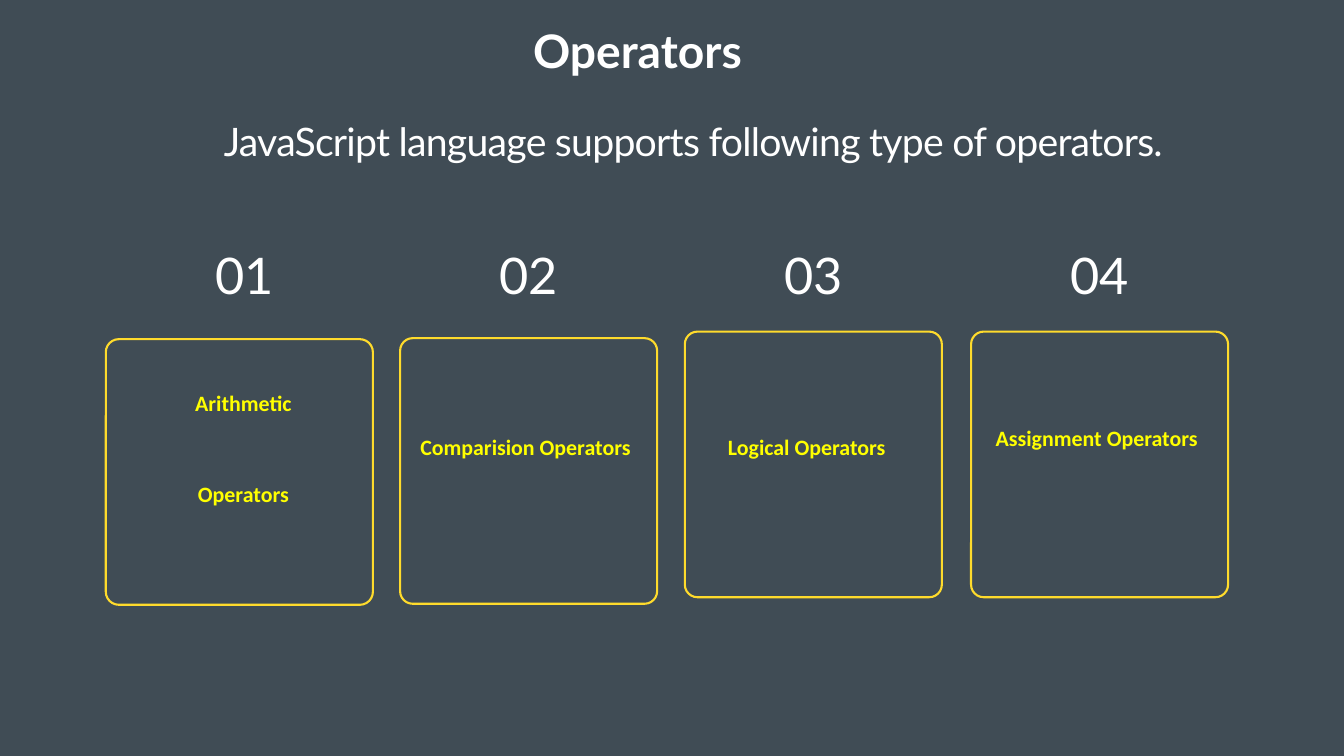
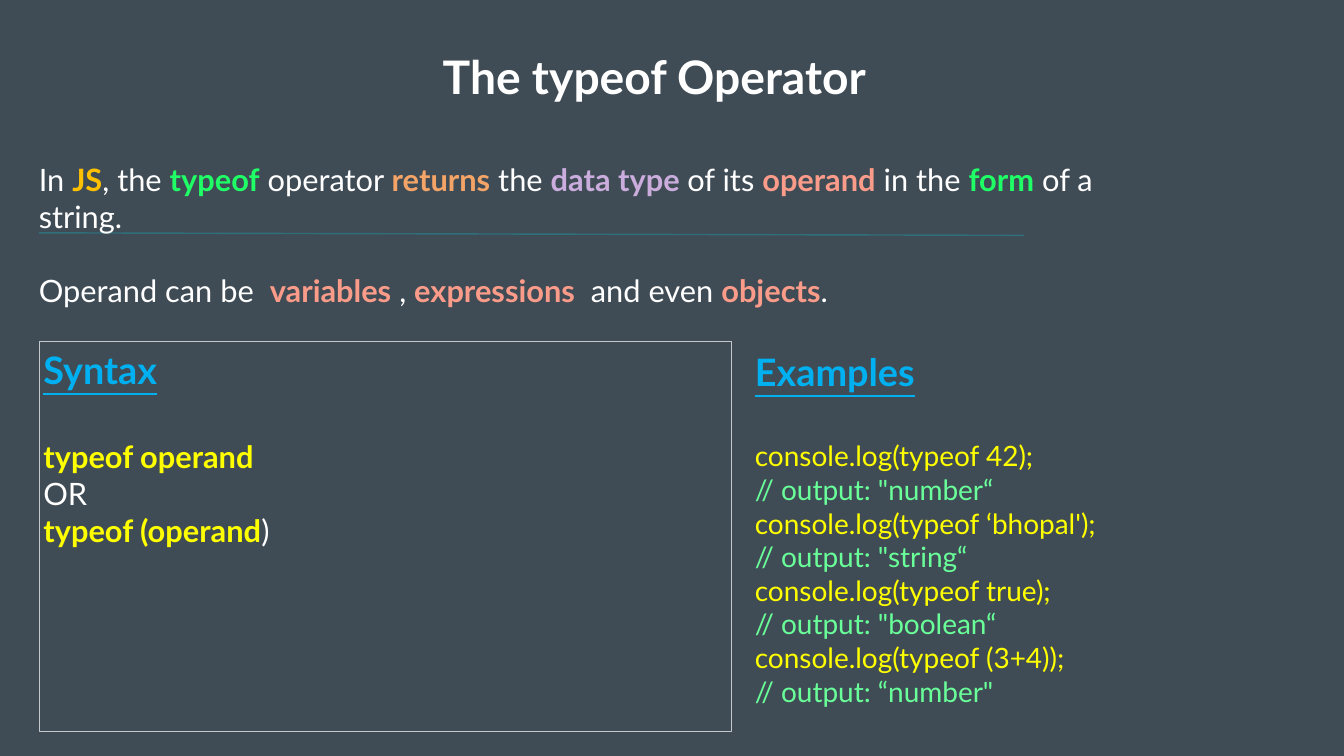
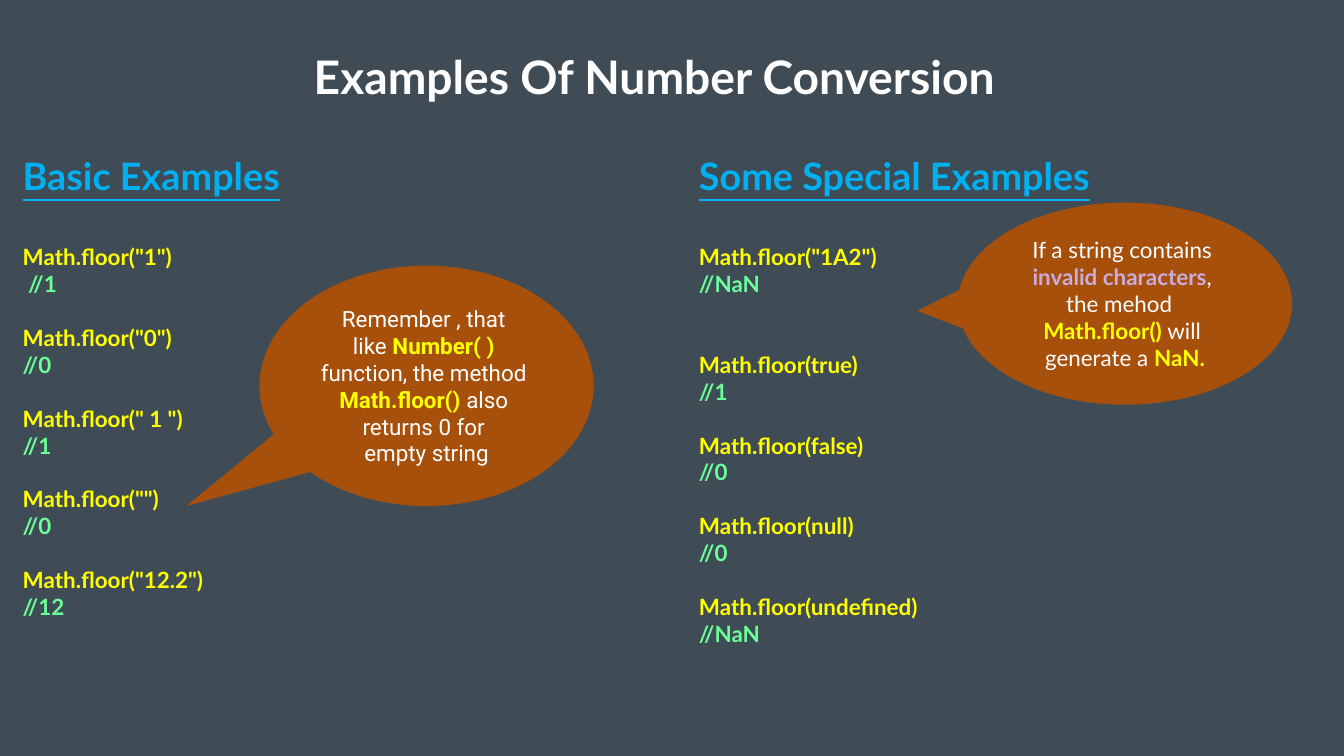
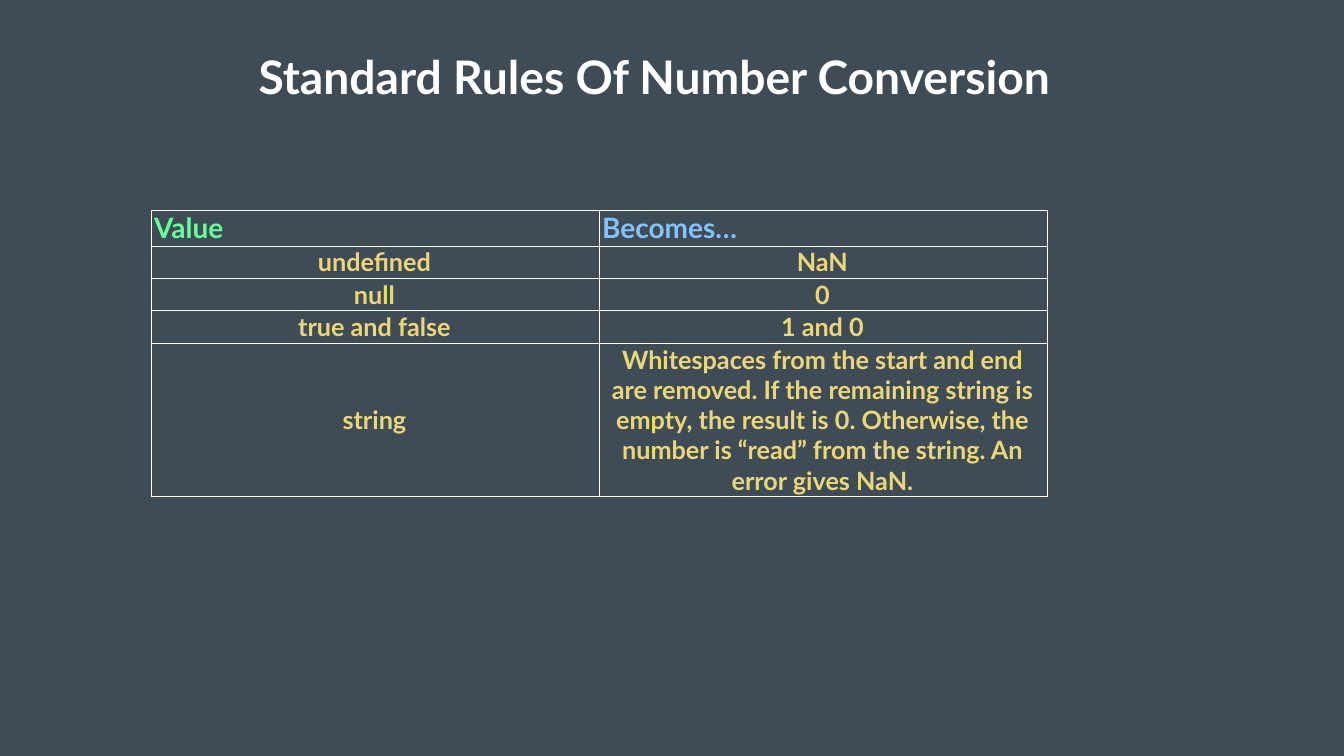
from lxml.etree import SubElement
from pptx import Presentation
from pptx.dml.color import RGBColor
from pptx.enum.shapes import MSO_CONNECTOR, MSO_SHAPE
from pptx.enum.text import MSO_ANCHOR as ANCHOR, MSO_AUTO_SIZE, PP_ALIGN as ALIGN
from pptx.oxml.ns import qn
from pptx.util import Inches, Pt

# Shared look
WHITE, SLATE, YELLOW, MINT = "FFFFFF", "404C55", "FFFF00", "69FF99"
AMBER, GREEN, ORANGE, LILAC, CORAL = "FFC000", "1FFF66", "F4A467", "CAACDD", "FB9B89"
BLUE, SKY, SAND, RUST, GOLD, SILVER = "00B0F0", "83C2FD", "EAD77B", "A6500C", "FFDB2C", "C4C8CA"
TITLE_BOX = (0.77, 0.88, 24.43, 1.27)
TITLE_ONLY, ONE_BODY, TWO_BODIES = 5, 1, 3  # layouts
PAD = 0.08
LINE = 1.2  # line height of Lato, in ems

# Slide 1: number, number left, label lines, card box, label box
SUBTITLE = "JavaScript language supports following type of operators."
CARDS = [
    ("01", 2.78, ["Arithmetic", "Operators"], (2.1, 6.73, 5.3, 5.27), (2.74, 7.31, 4.18, 6.18)),
    ("02", 8.42, ["Comparision Operators"], (7.94, 6.71, 5.1, 5.27), (7.78, 7.28, 5.3, 6.18)),
    ("03", 14.07, ["Logical Operators"], (13.59, 6.58, 5.1, 5.27), (13.92, 7.28, 4.18, 6.18)),
    ("04", 19.75, ["Assignment Operators"], (19.27, 6.58, 5.1, 5.27), (19.09, 7.1, 5.35, 6.18)),
]

# Slide 2: each paragraph is a list of (text, colour)
INTRO = [
    [("In ", WHITE), ("JS", AMBER), (", the ", WHITE), ("typeof", GREEN), (" operator ", WHITE),
     ("returns", ORANGE), (" the ", WHITE), ("data type ", LILAC), ("of its ", WHITE),
     ("operand", CORAL), (" in the ", WHITE), ("form", GREEN), (" of a string.", WHITE)],
    [("Operand can be  ", WHITE), ("variables", CORAL), (" , ", WHITE), ("expressions", CORAL),
     ("  and even ", WHITE), ("objects", CORAL), (".", WHITE)],
]
SYNTAX = [
    [("typeof operand", YELLOW)],
    [("OR", WHITE)],
    [("typeof (operand", YELLOW), (")", WHITE)],
]
TYPEOF_EXAMPLES = [
    ("console.log(typeof 42);", '// output: "number“'),
    ("console.log(typeof ‘bhopal');", '// output: "string“'),
    ("console.log(typeof true);", '// output: "boolean“'),
    ("console.log(typeof (3+4));", '// output: “number"'),
]

# Slide 3: (call, result) pairs, then callouts
BASIC = [('Math.floor("1")', " //1"), ('Math.floor("0")', "//0"), ('Math.floor(" 1 ")', "//1"),
         ('Math.floor("")', "//0"), ('Math.floor("12.2")', "//12")]
SPECIAL = [('Math.floor("1A2")', "//NaN"), ("Math.floor(true)", "//1"), ("Math.floor(false)", "//0"),
           ("Math.floor(null)", "//0"), ("Math.floor(undefined)", "//NaN")]
CALLOUTS = [
    ((5.15, 5.27, 6.63, 4.77), (-0.719, 0.5), "Roboto", [
        [("Remember , that ", WHITE)],
        [("like ", WHITE), ("Number( ) ", YELLOW)],
        [("function, the method ", WHITE)],
        [("Math.floor() ", YELLOW), ("also ", WHITE)],
        [("returns 0 for ", WHITE)],
        [("empty string", WHITE)],
    ]),
    ((19.01, 4.02, 6.63, 4.01), (-0.622, 0.035), "Lato", [
        [("If a string contains ", WHITE)],
        [("invalid characters", LILAC), (", ", WHITE)],
        [("the mehod  ", WHITE)],
        [("Math.floor() ", YELLOW), ("will ", WHITE)],
        [("generate a ", WHITE), ("NaN.", YELLOW)],
    ]),
]

# Slide 4
RULES = [
    ("Value", "Becomes…"),
    ("undefined", "NaN"),
    ("null", "0"),
    ("true and false", "1 and 0"),
    ("string", "Whitespaces from the start and end are removed. If the remaining string is "
               "empty, the result is 0. Otherwise, the number is “read” from the string. "
               "An error gives NaN."),
]
ROW_HEIGHTS = [0.71, 0.64, 0.64, 0.65, 3.03]


def rgb(color):
    return RGBColor.from_string(color)


def inches(box):
    return [Inches(v) for v in box]


def place(sp, box):
    sp.left, sp.top, sp.width, sp.height = inches(box)
    return sp.text_frame


def set_frame(tf, anchor=ANCHOR.TOP, pad=PAD, top=None):
    values = dict(word_wrap=True, auto_size=MSO_AUTO_SIZE.NONE, vertical_anchor=anchor,
                  margin_left=Inches(pad), margin_right=Inches(pad), margin_bottom=Inches(pad),
                  margin_top=Inches(pad if top is None else top))
    for name, value in values.items():
        setattr(tf, name, value)


def add_para(tf, runs, size, align=ALIGN.LEFT, before=0, font="Lato", bold=None, **extra):
    """Add a paragraph; unless told otherwise, coloured words are bold and white ones are not."""
    p = tf.paragraphs[0]
    if p.runs:
        p = tf.add_paragraph()
    p.alignment, p.space_before, p.space_after = align, Pt(before), Pt(0)
    pPr = p._p.get_or_add_pPr()
    pPr.set("marL", "0")
    pPr.set("indent", "0")
    SubElement(pPr, qn("a:buNone"))
    for text, color in runs:
        r = p.add_run()
        r.text = text
        fmt = dict(name=font, size=Pt(size), bold=color != WHITE if bold is None else bold, **extra)
        for name, value in fmt.items():
            setattr(r.font, name, value)
        r.font.color.rgb = rgb(color)
    return p


def add_slide(prs, layout, title, box=TITLE_BOX):
    s = prs.slides.add_slide(prs.slide_layouts[layout])
    tf = place(s.shapes.title, box)
    set_frame(tf, ANCHOR.MIDDLE)
    add_para(tf, [(title, WHITE)], 66, ALIGN.CENTER, bold=True)
    return s


def add_text(s, box, **frame):
    tf = s.shapes.add_textbox(*inches(box)).text_frame
    set_frame(tf, **frame)
    return tf


def add_shape(s, kind, box, adjustments=(), fill=None, line=None, width=1):
    sp = s.shapes.add_shape(kind, *inches(box))
    sp.shadow.inherit = False
    for i, value in enumerate(adjustments):
        sp.adjustments[i] = value
    if fill:
        sp.fill.solid()
        sp.fill.fore_color.rgb = rgb(fill)
    else:
        sp.fill.background()
    if line:
        sp.line.color.rgb, sp.line.width = rgb(line), Pt(width)
    else:
        sp.line.fill.background()
    return sp


def fill_section(sp, box, heading, paras, size, gaps=None, bold=None):
    """Underlined heading, one blank heading line of space, then the paragraphs."""
    tf = place(sp, box)
    set_frame(tf)
    add_para(tf, [(heading, BLUE)], 54, underline=True)
    gaps = {0: 54 * LINE, **(gaps or {})}
    for i, runs in enumerate(paras):
        add_para(tf, runs, size, before=gaps.get(i, 0), bold=bold)


def code_paras(pairs):
    return [[(text, color)] for pair in pairs for text, color in zip(pair, (YELLOW, MINT))]


def operators_slide(prs):
    s = add_slide(prs, ONE_BODY, "Operators", (1.67, 0.66, 21.96, 0.89))
    s.shapes.title.text_frame.paragraphs[0].line_spacing = 0.8
    tf = place(s.placeholders[1], (1.54, 2.25, 24.43, 1.1))
    set_frame(tf, ANCHOR.MIDDLE)
    p = add_para(tf, [(SUBTITLE, WHITE)], 56, ALIGN.CENTER)
    p.runs[0]._r.get_or_add_rPr().set("spc", "-110")
    for number, left, lines, card, label in CARDS:
        add_shape(s, MSO_SHAPE.ROUNDED_RECTANGLE, card, [0.049], line=GOLD, width=3)
        tf = add_text(s, (left, 4.85, 4.14, 1.35), pad=0)
        add_para(tf, [(number, WHITE)], 72, ALIGN.CENTER)
        tf = add_text(s, label, top=1.23 - 0.9 * (len(lines) - 1))
        for i, line in enumerate(lines):
            p = add_para(tf, [(line, YELLOW)], 54, ALIGN.CENTER, 65 * i, "Calibri")
            p.runs[0]._r.get_or_add_rPr().set("baseline", "30000")  # raised, small letters


def typeof_slide(prs):
    s = add_slide(prs, TWO_BODIES, "The typeof Operator")
    # Intro and its rule
    rule = s.shapes.add_connector(MSO_CONNECTOR.STRAIGHT, *inches((0.77, 4.62, 20.32, 4.67)))
    rule.line.color.rgb, rule.line.width = rgb("03CADF"), Pt(2)
    color = rule.line._ln.find(".//" + qn("a:srgbClr"))
    SubElement(color, qn("a:alpha")).set("val", "27000")
    SubElement(rule._element.spPr, qn("a:effectLst"))
    tf = add_text(s, (0.77, 3.19, 21.83, 2.96), pad=0)
    for i, runs in enumerate(INTRO):
        add_para(tf, runs, 44, before=44 * LINE * i)
    # Syntax and examples
    add_shape(s, MSO_SHAPE.RECTANGLE, (0.78, 6.78, 13.73, 7.73), line=SILVER)
    fill_section(s.placeholders[1], (0.78, 6.8, 10.18, 4.2), "Syntax", SYNTAX, 44)
    fill_section(s.placeholders[2], (14.9, 6.83, 11.41, 7.8), "Examples",
                 code_paras(TYPEOF_EXAMPLES), 40, bold=False)


def conversion_slide(prs):
    s = add_slide(prs, TWO_BODIES, "Examples Of Number Conversion")
    blank = 32 * LINE
    pair_gaps = {i: blank for i in range(2, 10, 2)}
    sections = [(1, 0.37, "Basic Examples", BASIC, pair_gaps),
                (2, 13.79, "Some Special Examples", SPECIAL, {**pair_gaps, 2: 2 * blank})]
    for idx, left, heading, pairs, gaps in sections:
        fill_section(s.placeholders[idx], (left, 2.95, 11.41, 10.05), heading,
                     code_paras(pairs), 32, gaps)
    for box, tip, font, paras in CALLOUTS:
        sp = add_shape(s, MSO_SHAPE.OVAL_CALLOUT, box, tip, fill=RUST)
        set_frame(sp.text_frame, ANCHOR.MIDDLE)
        for runs in paras:
            add_para(sp.text_frame, runs, 32, ALIGN.CENTER, font=font)


def format_cell(cell, text, size, color, align, anchor):
    values = dict(vertical_anchor=anchor, margin_left=Inches(0.05), margin_right=Inches(0.1),
                  margin_top=Inches(0.02), margin_bottom=Inches(0.02))
    for name, value in values.items():
        setattr(cell, name, value)
    add_para(cell.text_frame, [(text, color)], size, align)
    tcPr = cell._tc.get_or_add_tcPr()
    for side in ("lnL", "lnR", "lnT", "lnB"):
        ln = SubElement(tcPr, qn("a:" + side), w=str(Pt(1)))
        SubElement(SubElement(ln, qn("a:solidFill")), qn("a:srgbClr"), val=WHITE)
    cell.fill.background()


def rules_slide(prs):
    s = add_slide(prs, TITLE_ONLY, "Standard Rules Of Number Conversion")
    box = inches((3.01, 4.17, 17.78, sum(ROW_HEIGHTS)))
    table = s.shapes.add_table(len(RULES), 2, *box).table
    for i, (row, height) in enumerate(zip(RULES, ROW_HEIGHTS)):
        table.rows[i].height = Inches(height)
        for j, text in enumerate(row):
            if i == 0:
                look = (40, (MINT, SKY)[j], ALIGN.LEFT, ANCHOR.BOTTOM)
            else:
                look = (36, SAND, ALIGN.CENTER, ANCHOR.MIDDLE)
            format_cell(table.cell(i, j), text, *look)


def main():
    prs = Presentation()
    prs.slide_width, prs.slide_height = Inches(26.67), Inches(15)
    fill = prs.slide_master.background.fill
    fill.solid()
    fill.fore_color.rgb = rgb(SLATE)
    for build in (operators_slide, typeof_slide, conversion_slide, rules_slide):
        build(prs)
    prs.save("out.pptx")


if __name__ == "__main__":
    main()
